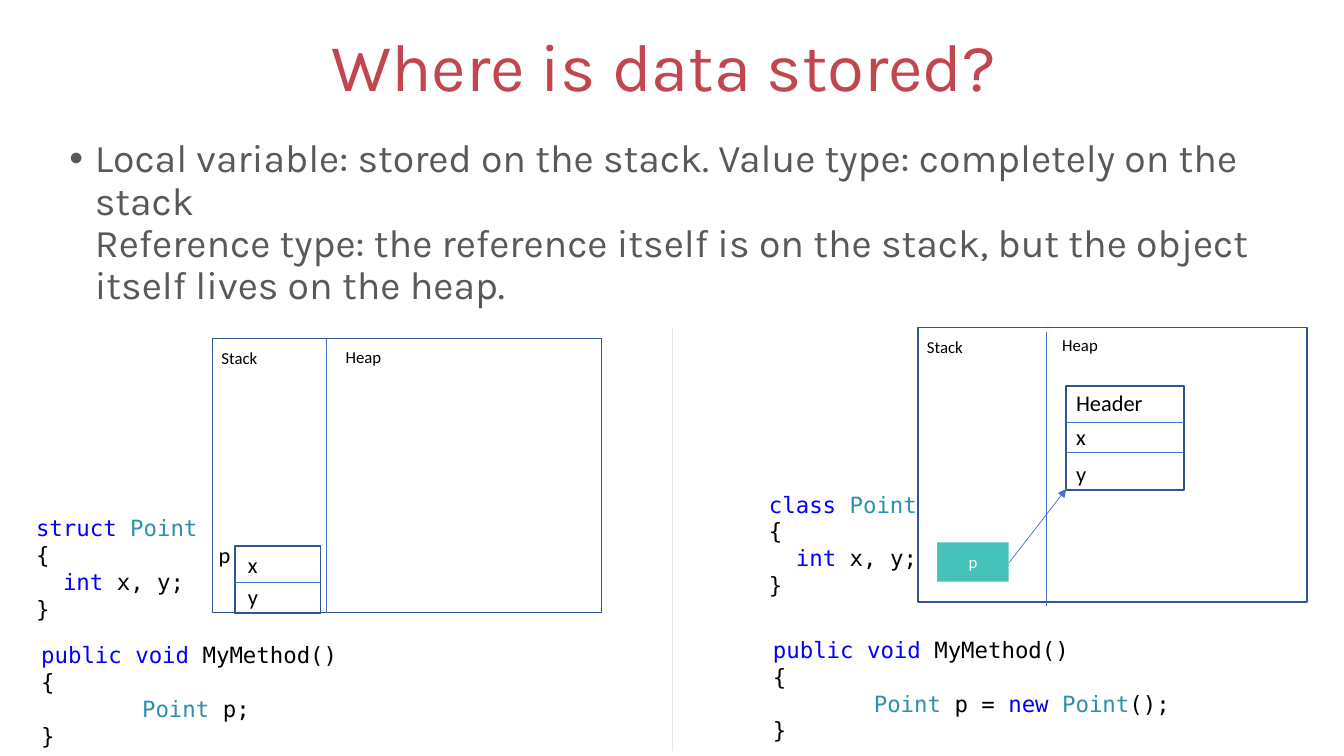
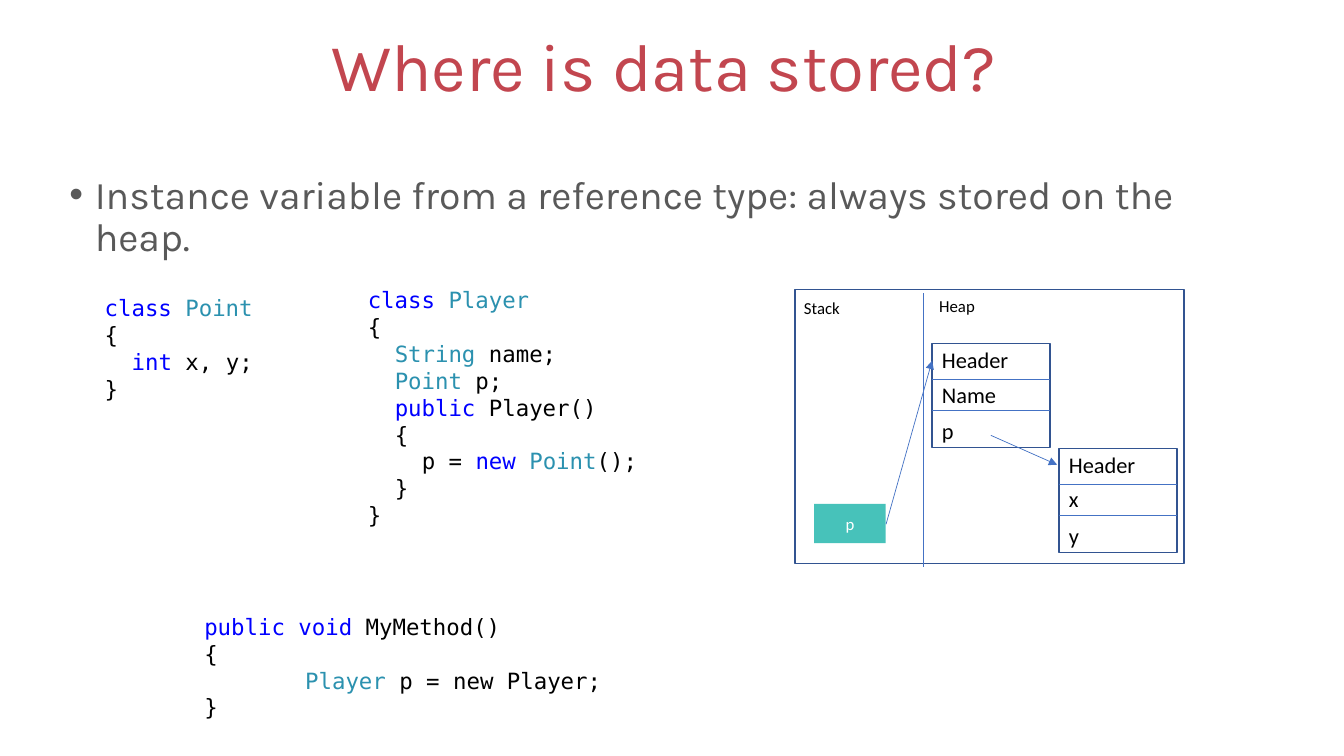
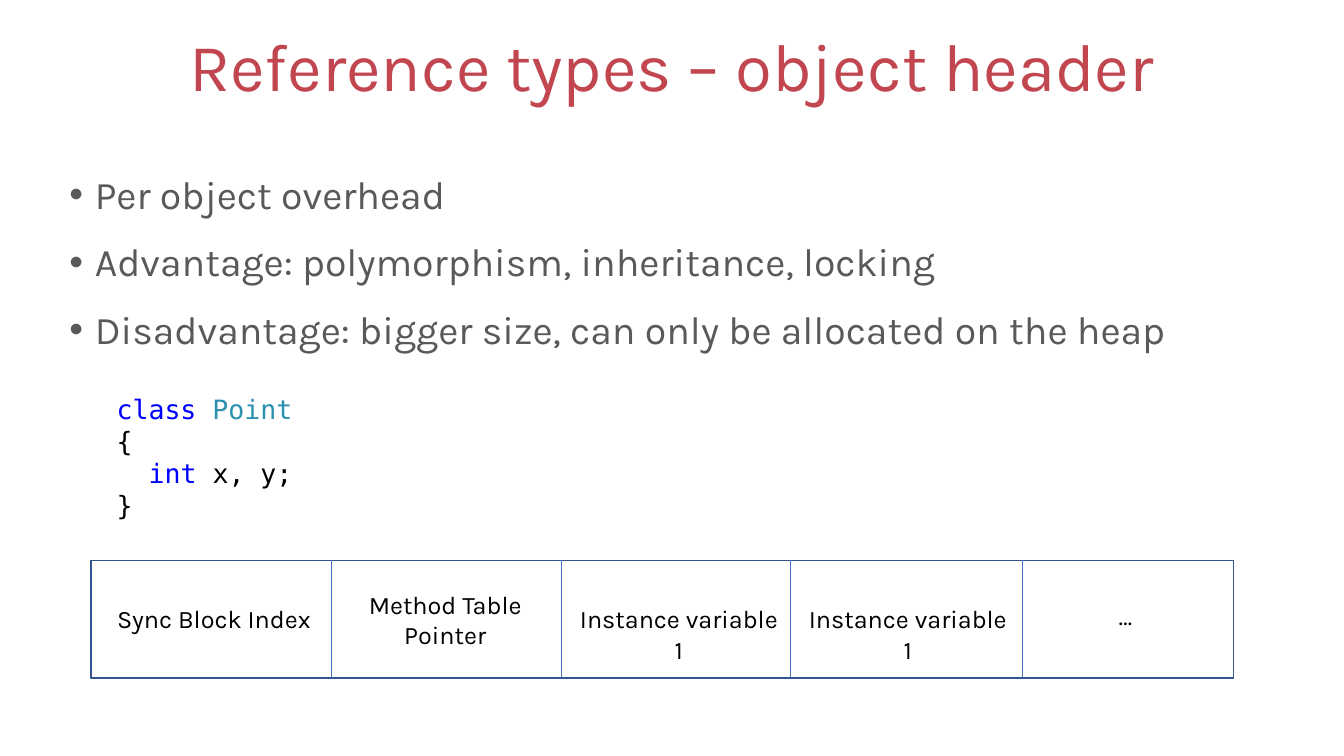
from lxml import etree
from pptx import Presentation
from pptx.dml.color import RGBColor
from pptx.enum.shapes import MSO_CONNECTOR, MSO_SHAPE
from pptx.enum.text import MSO_ANCHOR, PP_ALIGN
from pptx.oxml.ns import qn
from pptx.util import Cm, Pt

LEFT, CENTER = PP_ALIGN.LEFT, PP_ALIGN.CENTER
TOP, MIDDLE = MSO_ANCHOR.TOP, MSO_ANCHOR.MIDDLE
RECTANGLE = MSO_SHAPE.RECTANGLE
STRAIGHT = MSO_CONNECTOR.STRAIGHT

COLORS = {
    "title": "C2464F",
    "body": "595959",
    "text": "000000",
    "white": "FFFFFF",
    "outline": "325491",
    "line": "4472C4",
    "split": "E7E6E6",
    "pointer": "47C2BA",
    "keyword": "0000FF",
    "type": "2B91AF",
}
HEADING_FONT, LABEL_FONT, CODE_FONT = "Karla", "Calibri", "DejaVu Sans Mono"
SLIDE_WIDTH, SLIDE_HEIGHT = 33.87, 19.05
DIAGRAM_WIDTH, DIAGRAM_HEIGHT = 9.8, 6.91
RECORD_WIDTH, RECORD_HEIGHT = 2.97, 2.62
RECORD_ROW_TOPS = (-0.05, 0.81, 1.73)
CODE_STEP = 0.0425
TAB = 3.74

POINT_FIELDS = [
    (0, [("{", "text")]),
    (1, [("int", "keyword"), (" x, y;", "text")]),
    (0, [("}", "text")]),
]
POINT_CLASS = [(0, [("class ", "keyword"), ("Point", "type")])] + POINT_FIELDS
POINT_STRUCT = [(0, [("struct ", "keyword"), ("Point", "type")])] + POINT_FIELDS
NEW_POINT = [("p = ", "text"), ("new ", "keyword"), ("Point", "type"), ("();", "text")]
PLAYER_CLASS = [
    (0, [("class ", "keyword"), ("Player", "type")]),
    (0, [("{", "text")]),
    (1, [("String ", "type"), ("name;", "text")]),
    (1, [("Point", "type"), (" p;", "text")]),
    (1, [("public", "keyword"), (" Player()", "text")]),
    (1, [("{", "text")]),
    (2, NEW_POINT),
    (1, [("}", "text")]),
    (0, [("}", "text")]),
]


def method_code(statement):
    return [
        (0, [("public void ", "keyword"), ("MyMethod()", "text")]),
        (0, [("{", "text")]),
        (TAB, statement),
        (0, [("}", "text")]),
    ]


def rgb(name):
    return RGBColor.from_string(COLORS[name])


def write_text(paragraph, text, font=LABEL_FONT, size=16, color="text", align=LEFT):
    paragraph.alignment = align
    for index, part in enumerate(text.split("\n")):
        if index:
            paragraph.add_line_break()
        run = paragraph.add_run()
        run.text = part
        run.font.name = font
        run.font.size = Pt(size)
        run.font.color.rgb = rgb(color)


def add_frame(slide, box, anchor=TOP):
    frame = slide.shapes.add_textbox(*map(Cm, box)).text_frame
    frame.word_wrap = True
    frame.vertical_anchor = anchor
    return frame


def add_label(slide, box, text, **text_format):
    write_text(add_frame(slide, box).paragraphs[0], text, **text_format)


def add_rectangle(slide, box, fill=None, outline=None):
    shape = slide.shapes.add_shape(RECTANGLE, *map(Cm, box))
    shape.shadow.inherit = False
    if fill:
        shape.fill.solid()
        shape.fill.fore_color.rgb = rgb(fill)
    else:
        shape.fill.background()
    if outline:
        shape.line.color.rgb = rgb(outline)
        shape.line.width = Pt(1)
    else:
        shape.line.fill.background()
    return shape


def add_line(slide, start, end, color="line", arrow=False):
    connector = slide.shapes.add_connector(STRAIGHT, *map(Cm, (*start, *end)))
    connector.line.color.rgb = rgb(color)
    connector.line.width = Pt(0.5)
    if arrow:
        etree.SubElement(connector.line._get_or_add_ln(), qn("a:tailEnd"), type="triangle")
    etree.SubElement(connector._element.spPr, qn("a:effectLst"))


def indent_paragraph(paragraph, margin, hanging=0):
    properties = paragraph._p.get_or_add_pPr()
    properties.set("marL", str(Cm(margin)))
    properties.set("indent", str(-Cm(hanging)))
    return properties


def add_title(slide, text):
    paragraph = add_frame(slide, (0, -0.08, SLIDE_WIDTH, 3.68), MIDDLE).paragraphs[0]
    paragraph.line_spacing = 0.9
    write_text(paragraph, text, font=HEADING_FONT, size=48, color="title", align=CENTER)


def add_bullets(slide, box, items):
    frame = add_frame(slide, box)
    for index, item in enumerate(items):
        paragraph = frame.add_paragraph() if index else frame.paragraphs[0]
        paragraph.line_spacing = 0.9
        paragraph.space_before = Pt(18)
        properties = indent_paragraph(paragraph, 0.64, 0.64)
        etree.SubElement(properties, qn("a:buFont"), typeface="Arial")
        etree.SubElement(properties, qn("a:buChar"), char="•")
        write_text(paragraph, item, font=HEADING_FONT, size=28, color="body")


def add_code(slide, box, lines, size=16):
    frame = add_frame(slide, box)
    for index, (level, runs) in enumerate(lines):
        paragraph = frame.add_paragraph() if index else frame.paragraphs[0]
        indent_paragraph(paragraph, level * CODE_STEP * size)
        for text, color in runs:
            write_text(paragraph, text, font=CODE_FONT, size=size, color=color)


def add_memory(slide, left, top, divider=3.23, sag=0.1, heap_label=(3.38, 0.05)):
    add_rectangle(slide, (left, top, DIAGRAM_WIDTH, DIAGRAM_HEIGHT), outline="outline")
    add_line(slide, (left + divider, top + sag), (left + divider, top + sag + DIAGRAM_HEIGHT))
    for text, (across, down) in (("Stack", (-0.03, 0.1)), ("Heap", heap_label)):
        add_label(slide, (left + across, top + down, 2.31, 0.76), text, size=12)


def add_record(slide, left, top, names):
    add_rectangle(slide, (left, top, RECORD_WIDTH, RECORD_HEIGHT), outline="outline")
    for down in (0.91, 1.68):
        add_line(slide, (left, top + down), (left + RECORD_WIDTH, top + down))
    for name, down in zip(names, RECORD_ROW_TOPS):
        add_label(slide, (left, top + down, RECORD_WIDTH, 0.94), name)


def add_local_struct(slide, left, top):
    width, height, row = 2.16, 1.7, 0.91
    add_rectangle(slide, (left, top, width, height), outline="outline")
    add_line(slide, (left, top + row), (left + width, top + row))
    for name, down in (("x", 0), ("y", 0.81)):
        add_label(slide, (left + 0.08, top + down, width, 0.94), name)
    add_label(slide, (left - 0.66, top - 0.25, width, 0.94), "p")


def add_reference(slide, left, top, target):
    shape = add_rectangle(slide, (left + 0.48, top + 5.41, 1.8, 0.99), fill="pointer")
    shape.text_frame.vertical_anchor = MIDDLE
    write_text(shape.text_frame.paragraphs[0], "p", size=12, color="white", align=CENTER)
    add_line(slide, (left + 2.29, top + 5.92), (left + target[0], top + target[1]), arrow=True)


def add_object_layout(slide, left, top, width, height):
    add_rectangle(slide, (left, top, width, height), outline="outline")
    for across in (6.07, 11.86, 17.63, 23.47):
        add_line(slide, (left + across, top), (left + across, top + height))
    cells = [
        ("Sync Block Index", 0.41, 0.97, 5.72, LEFT),
        ("Method Table Pointer", 6.07, 0.61, 5.72, CENTER),
        ("Instance variable 1", 11.96, 0.97, 5.72, CENTER),
        ("Instance variable 1", 17.73, 0.97, 5.72, CENTER),
        ("…", 23.93, 0.89, 4.29, CENTER),
    ]
    for text, across, down, cell_width, align in cells:
        add_label(slide, (left + across, top + down, cell_width, 1.02), text,
                  font=HEADING_FONT, size=18, align=align)


def add_slide(presentation, title, bullets_box, bullets):
    slide = presentation.slides.add_slide(presentation.slide_layouts[6])
    add_title(slide, title)
    add_bullets(slide, bullets_box, bullets)
    return slide


def build_local_variables(presentation):
    slide = add_slide(presentation, "Where is data stored? ", (1.5, 3.38, 30.68, 14.76), [
        "Local variable: stored on the stack. Value type: completely on the stack\n"
        "Reference type: the reference itself is on the stack, but the object itself "
        "lives on the heap."])
    left, top = 5.36, 8.53
    add_memory(slide, left, top, divider=2.87, sag=0, heap_label=(3.1, 0.08))
    add_local_struct(slide, left + 0.56, top + 5.23)
    add_code(slide, (0.66, 12.83, 4.93, 3), POINT_STRUCT)
    add_code(slide, (0.79, 16.03, 8.76, 3), method_code([("Point", "type"), (" p;", "text")]))

    add_line(slide, (16.94, 8.26), (16.94, 18.92), color="split")

    left, top = 23.14, 8.26
    add_memory(slide, left, top)
    add_record(slide, left + 3.73, top + 1.47, ("Header", "x", "y"))
    add_reference(slide, left, top, (3.73, 4.06))
    add_code(slide, (19.13, 12.24, 4.93, 3), POINT_CLASS)
    add_code(slide, (19.23, 15.9, 10.59, 3),
             method_code([("Point ", "type")] + NEW_POINT))


def build_instance_variables(presentation):
    slide = add_slide(presentation, "Where is data stored? ", (1.5, 4.29, 30.68, 13.84), [
        "Instance variable from a reference type: always stored on the heap."])
    left, top = 20.04, 7.29
    add_memory(slide, left, top)
    add_record(slide, left + 3.45, top + 1.37, ("Header", "Name", "p"))
    add_record(slide, left + 6.65, top + 4.01, ("Header", "x", "y"))
    add_reference(slide, left, top, (3.45, 1.8))
    add_line(slide, (left + 4.93, top + 3.68), (left + 6.6, top + 4.42), arrow=True)
    add_code(slide, (2.39, 7.29, 4.93, 3), POINT_CLASS)
    add_code(slide, (9.02, 7.09, 9.6, 6.43), PLAYER_CLASS)
    add_code(slide, (4.9, 15.32, 10.8, 3),
             method_code([("Player", "type"), (" p = new Player;", "text")]))


def build_object_header(presentation):
    slide = add_slide(presentation, "Reference types – object header", (1.5, 4.29, 30.68, 5.13), [
        "Per object overhead",
        "Advantage: polymorphism, inheritance, locking",
        "Disadvantage: bigger size, can only be allocated on the heap"])
    add_object_layout(slide, 2.29, 14.12, 28.8, 2.97)
    add_code(slide, (2.69, 9.78, 6.99, 3.51), POINT_CLASS, size=19)


presentation = Presentation()
presentation.slide_width = Cm(SLIDE_WIDTH)
presentation.slide_height = Cm(SLIDE_HEIGHT)
build_local_variables(presentation)
build_instance_variables(presentation)
build_object_header(presentation)
presentation.save("out.pptx")
